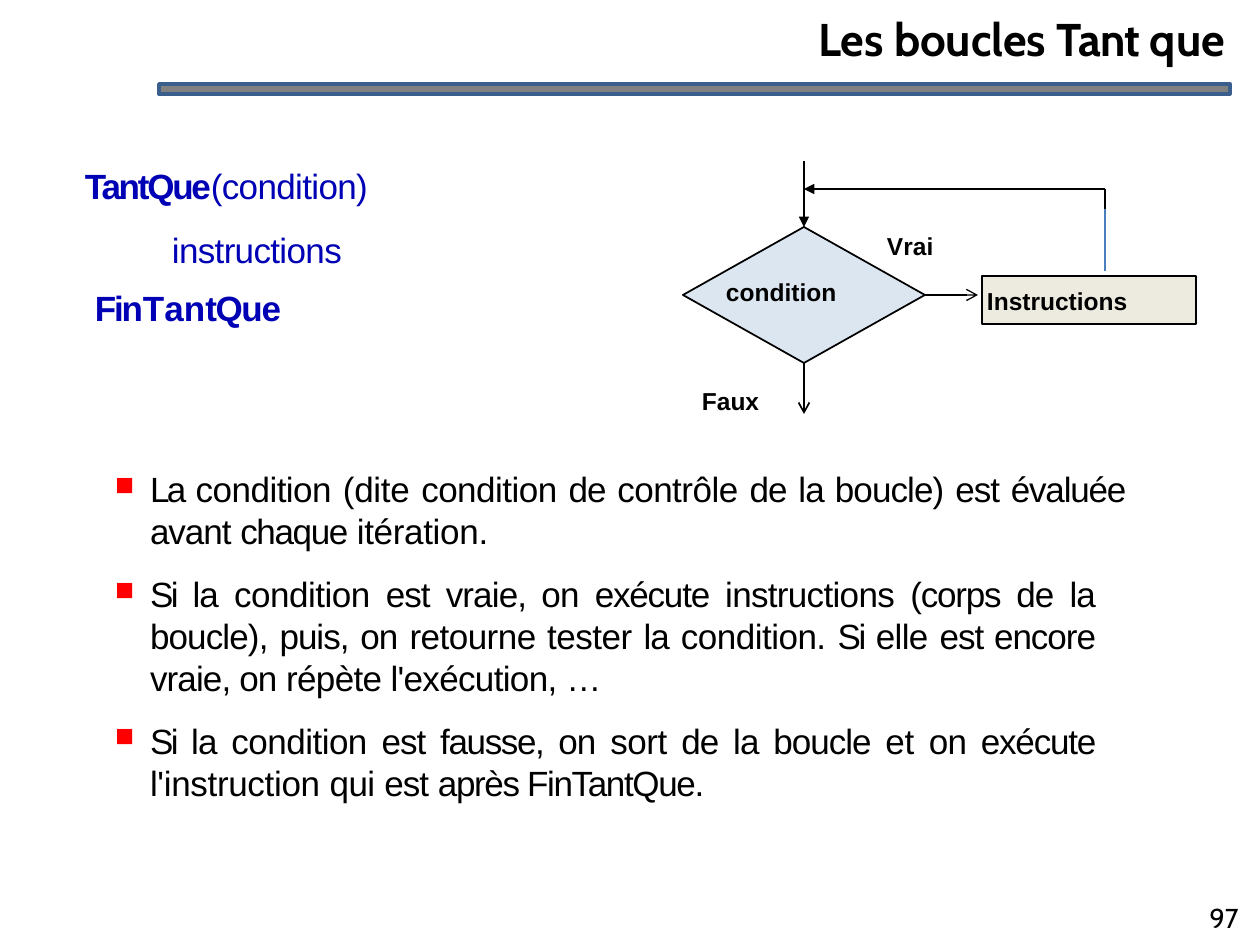
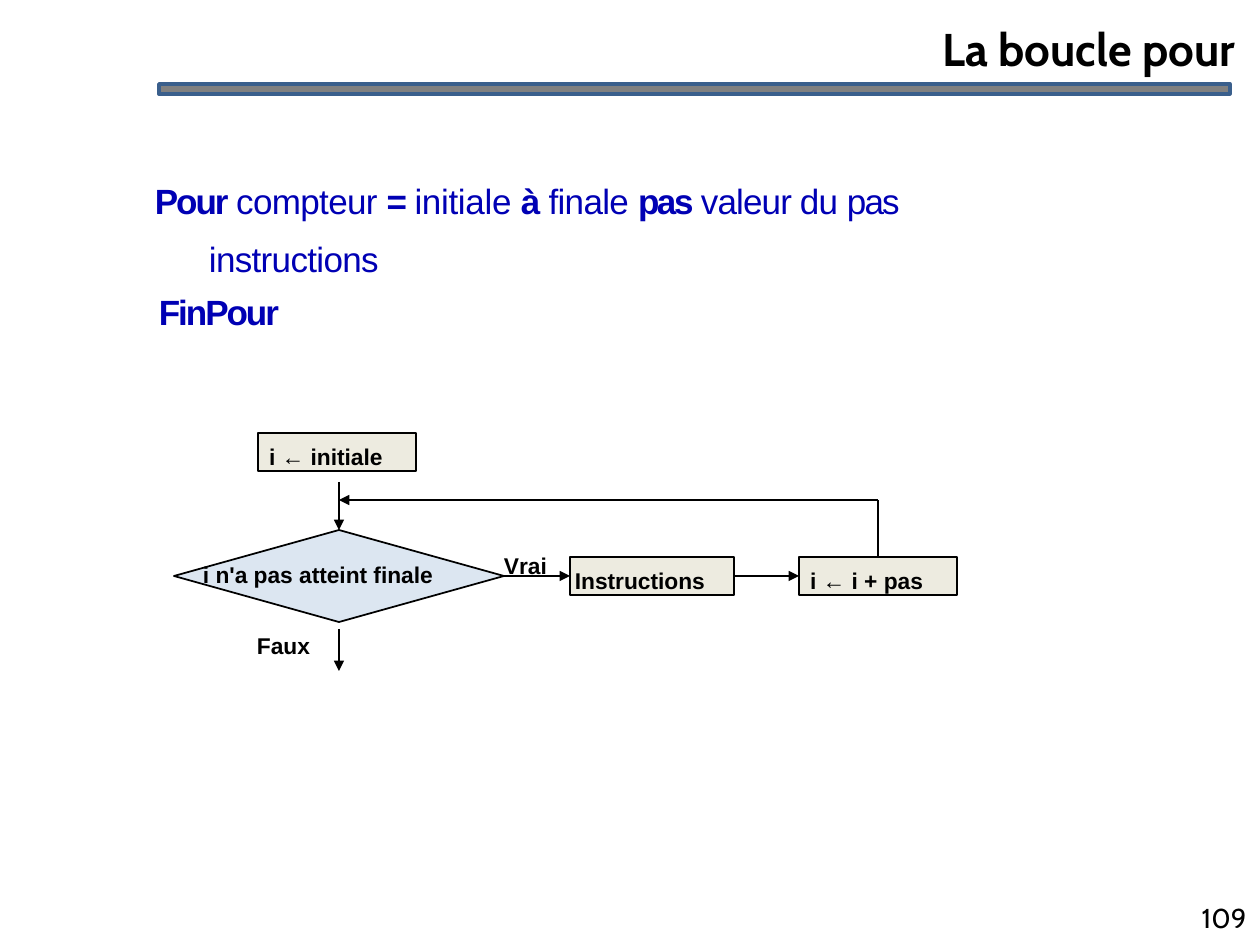
import pptx
import pptx.util
import pptx.dml.color
import pptx.enum.shapes
import pptx.enum.text
import pptx.oxml.ns
import lxml.etree

RGBColor = pptx.dml.color.RGBColor
Shape = pptx.enum.shapes.MSO_SHAPE
Align = pptx.enum.text.PP_ALIGN

BLACK = RGBColor(0, 0, 0)
CODE_BLUE = RGBColor(0x00, 0x00, 0xB4)
BAND_GREY = RGBColor(0x80, 0x80, 0x80)
BAND_EDGE = RGBColor(0x3A, 0x5F, 0x8C)
TEST_BLUE = RGBColor(0xDC, 0xE6, 0xF1)
STEP_BEIGE = RGBColor(0xED, 0xEB, 0xE0)
RETURN_BLUE = RGBColor(0x4B, 0x7E, 0xBC)
BULLET_RED = RGBColor(0xFF, 0, 0)

PX_PER_INCH = 126
TOP, LEFT, BOTTOM, RIGHT = range(4)
VRAI = [("V", -0.8), ("r", 0), ("a", -0.1), ("i", 0)]
FAUX = [("Faux", 0)]

RULES = [
    [("La ", -1.5), ("condition ", -0.3), ("(dite ", -0.2),
     ("condition ", -0.3), ("de ", -0.6), ("contrôle ", -0.3),
     ("de ", -0.6), ("la boucle) ", -0.5), ("est ", -0.6),
     ("évaluée ", -0.7), ("avant ", -0.6), ("chaque ", -0.8),
     ("itération.", -0.2)],
    [("Si ", -1.4), ("la ", -0.5), ("condition ", -0.3), ("est ", -0.6),
     ("vraie, on ", -0.5), ("exécute ", -0.7), ("instructions ", -0.4),
     ("(corps ", -0.7), ("de ", -0.6), ("la boucle), ", -0.5),
     ("puis, ", -0.6), ("on ", -0.5), ("retourne tester ", -0.3),
     ("la ", -0.5), ("condition. ", -0.3), ("Si ", -1.4), ("elle ", -0.4),
     ("est encore ", -0.6), ("vraie, on ", -0.5),
     ("répète l'exécution, ", -0.4), ("…", -4.2)],
    [("Si ", -1.4), ("la ", -0.5), ("condition ", -0.3), ("est ", -0.6),
     ("fausse, ", -0.8), ("on ", -0.5), ("sort ", -0.3), ("de ", -0.6),
     ("la ", -0.5), ("boucle ", -0.6), ("et ", -0.1), ("on ", -0.5),
     ("exécute ", -0.7), ("l'instruction ", -0.2), ("qui ", -0.3),
     ("est ", -0.6), ("après FinTantQue.", -0.8)],
]
RULE_RIGHT_MARGINS = [0, 30, 0]


def px(length):
    return pptx.util.Emu(round(length * 914400 / PX_PER_INCH))


def add_element(parent, tag, **attributes):
    element = lxml.etree.SubElement(parent, pptx.oxml.ns.qn(tag))
    for key, value in attributes.items():
        element.set(key, str(value))
    return element


def set_indent(paragraph, margin, first_line, right=0):
    properties = paragraph._p.get_or_add_pPr()
    properties.set("marL", str(px(margin)))
    properties.set("indent", str(px(first_line)))
    if right:
        properties.set("marR", str(px(right)))


def add_square_bullet(paragraph):
    properties = paragraph._p.get_or_add_pPr()
    add_element(add_element(properties, "a:buClr"), "a:srgbClr", val=BULLET_RED)
    add_element(properties, "a:buSzPct", val=75000)
    add_element(properties, "a:buChar", char="■")


def add_tab(paragraph, position):
    tabs = add_element(paragraph._p.get_or_add_pPr(), "a:tabLst")
    add_element(tabs, "a:tab", pos=px(position), algn="l")


def add_runs(paragraph, runs, size, color=BLACK, bold=False, font="Arial"):
    for text, spacing, *own_bold in runs:
        run = paragraph.add_run()
        run.text = text
        run.font.name = font
        run.font.size = pptx.util.Pt(size)
        run.font.bold = own_bold[0] if own_bold else bold
        run.font.color.rgb = color
        if spacing:
            run._r.get_or_add_rPr().set("spc", str(round(spacing * 100)))


def prepare_frame(shape, left, top):
    frame = shape.text_frame
    frame.word_wrap = True
    frame.vertical_anchor = pptx.enum.text.MSO_ANCHOR.TOP
    frame.margin_left, frame.margin_top = px(left), px(top)
    frame.margin_right = frame.margin_bottom = 0
    return frame


def add_text(slide, box, runs, size, align=Align.LEFT, inset=1, **style):
    label = slide.shapes.add_textbox(*map(px, box))
    frame = prepare_frame(label, inset, 2)
    paragraph = frame.paragraphs[0]
    paragraph.alignment = align
    add_runs(paragraph, runs, size, **style)
    return frame


def add_code(slide, box, runs, **style):
    return add_text(slide, box, runs, 20, color=CODE_BLUE, **style)


def add_block(slide, kind, box, fill, edge=BLACK, width=1):
    block = slide.shapes.add_shape(kind, *map(px, box))
    block.shadow.inherit = False
    block.fill.solid()
    block.fill.fore_color.rgb = fill
    block.line.color.rgb = edge
    block.line.width = pptx.util.Pt(width)
    return block


def add_step(slide, box, text, size, inset):
    step = add_block(slide, Shape.RECTANGLE, box, STEP_BEIGE)
    paragraph = prepare_frame(step, inset, 10).paragraphs[0]
    paragraph.alignment = Align.LEFT
    add_runs(paragraph, [(text, 0)], size, bold=True)
    return step


def add_test(slide, box, text_box, text, size):
    test = add_block(slide, Shape.DIAMOND, box, TEST_BLUE)
    add_text(slide, text_box, [(text, 0)], size, bold=True)
    return test


def add_flow(slide, start, end, head=None, source=None, target=None,
             color=BLACK, width=1):
    flow = slide.shapes.add_connector(
        pptx.enum.shapes.MSO_CONNECTOR.STRAIGHT, *map(px, start + end))
    if source:
        flow.begin_connect(*source)
    if target:
        flow.end_connect(*target)
    flow.line.color.rgb = color
    flow.line.width = pptx.util.Pt(width)
    if head:
        add_element(flow.line._get_or_add_ln(), "a:tailEnd", type=head)
    add_element(flow._element.spPr, "a:effectLst")


def add_page(deck, title, title_right, title_top, number):
    slide = deck.slides.add_slide(deck.slide_layouts[6])
    add_block(slide, Shape.RECTANGLE, (159, 84, 1071, 10),
              BAND_GREY, BAND_EDGE, 2)
    add_text(slide, (159, title_top, title_right - 159, 57), title, 26.2,
             align=Align.RIGHT, bold=True, font="Cabin")
    add_text(slide, (1188, 899, 72, 46), [(number, 0)], 15.6,
             align=Align.CENTER, inset=0, font="Cabin")
    return slide


def add_rules(slide):
    frame = add_text(slide, (113, 466, 1012, 340), [], 20, inset=0)
    for index, (runs, right) in enumerate(zip(RULES, RULE_RIGHT_MARGINS)):
        paragraph = frame.add_paragraph() if index else frame.paragraphs[0]
        add_square_bullet(paragraph)
        set_indent(paragraph, 37, -35, right)
        paragraph.alignment = Align.JUSTIFY
        if index:
            paragraph.space_before = pptx.util.Pt(11.9)
        add_runs(paragraph, runs, 20)


def build_while_slide(deck):
    slide = add_page(
        deck, [("Les boucles ", 0), ("Tant ", -0.5), ("que", 0)], 1225, 9, "97")
    opening = add_code(slide, (84, 162, 475, 44),
                       [("TantQue\t", -1.3, True), ("(condition)", -0.4)])
    add_tab(opening.paragraphs[0], 116)
    add_code(slide, (171, 226, 260, 44), [("instructions", -0.4)])
    add_code(slide, (94, 284, 318, 44),
             [("Fin", -1.3), ("T", -2.8), ("a", -1), ("n", -1.3),
              ("tQue", -0.8)], bold=True)
    add_rules(slide)

    condition = add_test(slide, (683, 227, 242, 136), (725, 275, 144, 39),
                         "condition", 14)
    add_step(slide, (982, 276, 214, 48), "Instructions", 14, 5)
    add_text(slide, (701, 384, 66, 32), FAUX, 14, bold=True)
    add_text(slide, (886, 229, 53, 32), VRAI, 14, bold=True)
    add_flow(slide, (804, 161), (804, 227), "triangle", target=(condition, TOP))
    add_flow(slide, (925, 295), (978, 295), "arrow",
             source=(condition, RIGHT), width=0.75)
    add_flow(slide, (804, 363), (804, 414), "arrow", source=(condition, BOTTOM))
    add_flow(slide, (1105, 227), (1105, 189))
    add_flow(slide, (1105, 189), (804, 189), "triangle")
    add_flow(slide, (1105, 209), (1105, 271), color=RETURN_BLUE, width=0.75)


def build_for_slide(deck):
    slide = add_page(deck, [("La boucle pour", 0)], 1235, 19, "109")
    code = add_code(
        slide, (154, 162, 879, 170),
        [("Pour ", -1.2, True), ("compteur ", -0.4), ("= ", -1.3, True),
         ("initiale ", -0.2), ("à ", -0.9, True), ("finale ", -0.4),
         ("pas ", -1.4, True), ("valeur du ", -0.5), ("pas ", -1.1),
         ("instructions", -0.4)], inset=0)
    set_indent(code.paragraphs[0], 55, -54)
    code.paragraphs[0].line_spacing = 1.37
    closing = code.add_paragraph()
    set_indent(closing, 5, 0)
    closing.space_before = pptx.util.Pt(6.3)
    add_runs(closing, [("FinPour", -1.2)], 20, CODE_BLUE, True)

    test = add_test(slide, (174, 530, 330, 92), (202, 559, 276, 29),
                    "i n'a pas atteint finale", 13)
    add_step(slide, (258, 433, 158, 38), "i ← initiale", 13, 11)
    body = add_step(slide, (570, 557, 164, 38), "Instructions", 13, 5)
    increment = add_step(slide, (799, 557, 158, 38), "i ← i + pas", 13, 11)
    add_text(slide, (256, 630, 66, 29), FAUX, 13, bold=True)
    add_text(slide, (503, 550, 53, 29), VRAI, 13, bold=True)
    add_flow(slide, (339, 482), (339, 530), "triangle", target=(test, TOP))
    add_flow(slide, (504, 576), (570, 576), "triangle",
             (test, RIGHT), (body, LEFT))
    add_flow(slide, (734, 576), (799, 576), "triangle",
             (body, RIGHT), (increment, LEFT))
    add_flow(slide, (878, 557), (878, 500), source=(increment, TOP))
    add_flow(slide, (878, 500), (339, 500), "triangle")
    add_flow(slide, (339, 629), (339, 671), "triangle")


def main():
    deck = pptx.Presentation()
    deck.slide_width, deck.slide_height = px(1260), px(945)
    build_while_slide(deck)
    build_for_slide(deck)
    deck.save("out.pptx")


if __name__ == "__main__":
    main()
